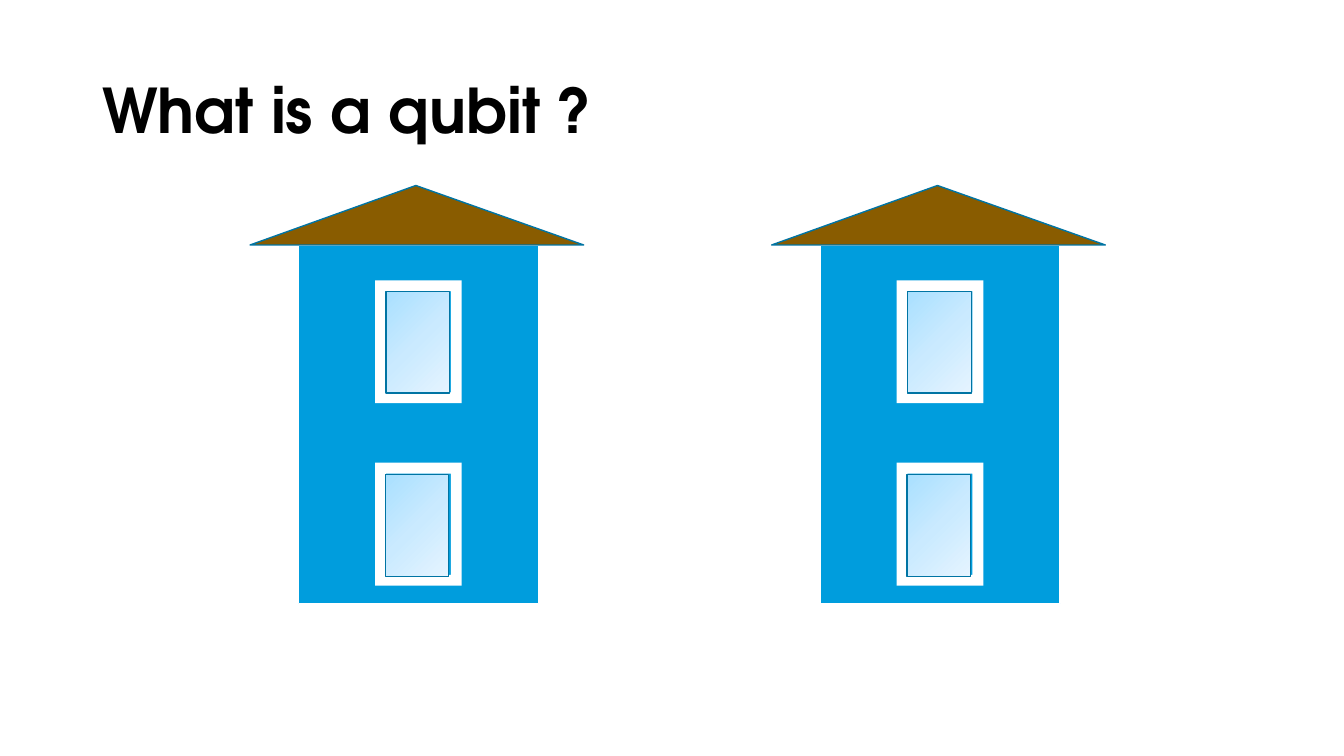
from copy import deepcopy

from pptx import Presentation
from pptx.dml.color import RGBColor
from pptx.enum.shapes import MSO_SHAPE
from pptx.enum.text import MSO_ANCHOR
from pptx.oxml.ns import qn
from pptx.util import Pt

TITLE = "What is a qubit ?"
TITLE_BOX = (66, 28.8, 828, 104.4)
HOUSE_LEFTS = (178.6, 551.2)
WALL = (34.6, 175, 171.4, 256.3)
ROOF = (0, 132.5, 238.3, 42.5)
ROOF_PEAK = 0.497
WINDOW_LEFT = 89.3
WINDOW_TOPS = (330.5, 200.2)
WINDOW_SIZE = (61.9, 87.8)
PANES = ((97.2, 208.1), (96.6, 339.1))
PANE_SIZE = (45.4, 72.7)

THEME = {
    "font": "TeX Gyre Adventor",
    "title_size": 44,
    "title": "000000",
    "wall": "009DDD",
    "white": "FFFFFF",
    "roof": "895C00",
    "outline": "0074A3",
    "glass": ("A9E0FF", "CAEAFF", "E5F4FF"),
    "line_width": 1,
}


def color(name):
    return RGBColor.from_string(THEME[name])


def fill_glass(shape):
    shape.fill.gradient()
    shape.fill.gradient_angle = 315
    stop_list = shape.fill._xPr.find(qn("a:gradFill")).find(qn("a:gsLst"))
    stop_list.insert(1, deepcopy(stop_list[0]))
    last = len(THEME["glass"]) - 1
    for index, stop in enumerate(shape.fill.gradient_stops):
        stop.position = index / last
        stop.color.rgb = RGBColor.from_string(THEME["glass"][index])


def add_part(group, kind, house_left, box, fill, line=None):
    left, top, width, height = box
    shape = group.shapes.add_shape(
        kind, Pt(house_left + left), Pt(top), Pt(width), Pt(height)
    )
    shape.shadow.inherit = False
    if fill == "glass":
        fill_glass(shape)
    else:
        shape.fill.solid()
        shape.fill.fore_color.rgb = color(fill)
    if line:
        shape.line.color.rgb = color(line)
        shape.line.width = Pt(THEME["line_width"])
    else:
        shape.line.fill.background()
    return shape


def add_house(slide, left):
    house = slide.shapes.add_group_shape()
    add_part(house, MSO_SHAPE.RECTANGLE, left, WALL, "wall", "white")
    for top in WINDOW_TOPS:
        add_part(house, MSO_SHAPE.FRAME, left, (WINDOW_LEFT, top, *WINDOW_SIZE), "white")
    for corner in PANES:
        add_part(house, MSO_SHAPE.RECTANGLE, left, (*corner, *PANE_SIZE), "glass", "outline")
    roof = add_part(house, MSO_SHAPE.ISOSCELES_TRIANGLE, left, ROOF, "roof", "outline")
    roof.adjustments[0] = ROOF_PEAK


def add_title(slide):
    text_frame = slide.shapes.add_textbox(*map(Pt, TITLE_BOX)).text_frame
    text_frame.word_wrap = True
    text_frame.vertical_anchor = MSO_ANCHOR.MIDDLE
    text_frame.text = TITLE
    paragraph = text_frame.paragraphs[0]
    paragraph.line_spacing = 0.9
    font = paragraph.runs[0].font
    font.name = THEME["font"]
    font.size = Pt(THEME["title_size"])
    font.bold = True
    font.color.rgb = color("title")


def main():
    presentation = Presentation()
    presentation.slide_width = Pt(960)
    presentation.slide_height = Pt(540)
    slide = presentation.slides.add_slide(presentation.slide_layouts[6])
    add_title(slide)
    for left in HOUSE_LEFTS:
        add_house(slide, left)
    presentation.save("out.pptx")


if __name__ == "__main__":
    main()
